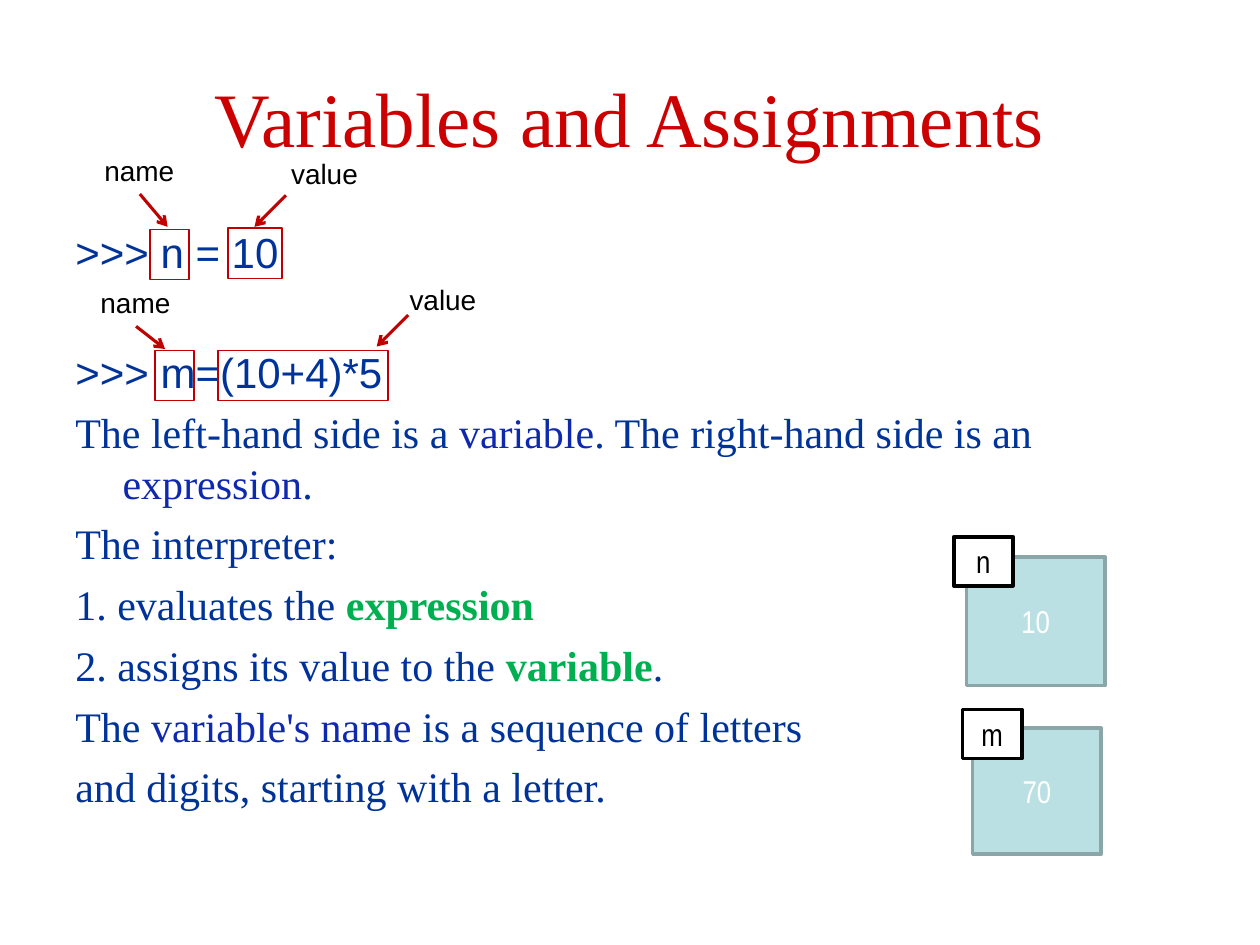
from dataclasses import dataclass

from lxml import etree
from pptx import Presentation
from pptx.dml.color import RGBColor
from pptx.enum.shapes import MSO_CONNECTOR, MSO_SHAPE
from pptx.enum.text import MSO_ANCHOR, PP_ALIGN
from pptx.oxml.ns import qn
from pptx.util import Inches, Pt

RECTANGLE = MSO_SHAPE.RECTANGLE
STRAIGHT = MSO_CONNECTOR.STRAIGHT
MIDDLE, TOP = MSO_ANCHOR.MIDDLE, MSO_ANCHOR.TOP
CENTER, LEFT = PP_ALIGN.CENTER, PP_ALIGN.LEFT

WIDTH, HEIGHT = Inches(10), Inches(7.5)
COLUMNS, ROWS = 100, 75


@dataclass(frozen=True)
class Theme:
    title: str = "CC0000"
    body: str = "003399"
    term: str = "0E29AE"
    key: str = "00B050"
    mark: str = "C00000"
    memory: str = "BBE0E3"
    memory_edge: str = "8AA6A8"
    black: str = "000000"
    white: str = "FFFFFF"
    serif: str = "Times New Roman"
    sans: str = "Arial"
    narrow: str = "Arial Narrow"
    title_size: float = 44
    body_size: float = 24
    cell_size: float = 18
    label_size: float = 16
    gap: float = 5.9
    code_gap: float = 39.4
    indent: float = 3.75


THEME = Theme()


def across(columns):
    return round(WIDTH * columns / COLUMNS)


def down(rows):
    return round(HEIGHT * rows / ROWS)


def place(left, top, width, height):
    return across(left), down(top), across(width), down(height)


def add_span(para, text, font, size, color, bold=False):
    span = para.add_run()
    span.text = text
    span.font.name = font
    span.font.size = Pt(size)
    span.font.bold = bold
    span.font.color.rgb = RGBColor.from_string(color)


def add_text_box(page, area, anchor=TOP):
    frame = page.shapes.add_textbox(*place(*area)).text_frame
    frame.word_wrap = True
    frame.vertical_anchor = anchor
    return frame


def add_line_of_text(page, area, text, font, size, color, anchor=TOP):
    para = add_text_box(page, area, anchor).paragraphs[0]
    para.alignment = CENTER
    add_span(para, text, font, size, color)


def add_box(page, area, edge, weight, fill=None):
    box = page.shapes.add_shape(RECTANGLE, *place(*area))
    box.shadow.inherit = False
    if fill:
        box.fill.solid()
        box.fill.fore_color.rgb = RGBColor.from_string(fill)
    else:
        box.fill.background()
    box.line.color.rgb = RGBColor.from_string(edge)
    box.line.width = Pt(weight)
    return box


def add_cell(page, area, text, color, edge, fill):
    frame = add_box(page, area, edge, 2, fill).text_frame
    frame.vertical_anchor = MIDDLE
    para = frame.paragraphs[0]
    para.alignment = CENTER
    add_span(para, text, THEME.narrow, THEME.cell_size, color)


def add_arrow(page, start, end):
    arrow = page.shapes.add_connector(
        STRAIGHT, across(start[0]), down(start[1]), across(end[0]), down(end[1]))
    arrow.line.color.rgb = RGBColor.from_string(THEME.mark)
    arrow.line.width = Pt(1.75)
    etree.SubElement(arrow.line._get_or_add_ln(), qn("a:tailEnd"), type="arrow")
    etree.SubElement(arrow._element.spPr, qn("a:effectLst"))


def add_callout(page, text, label_area, start, end, target):
    add_arrow(page, start, end)
    add_line_of_text(page, label_area, text, THEME.sans, THEME.label_size, THEME.black)
    add_box(page, target, THEME.mark, 0.75)


def add_variable(page, name, name_corner, value, value_area):
    add_cell(page, value_area, value, THEME.white, THEME.memory_edge, THEME.memory)
    add_cell(page, (*name_corner, 4.7, 3.9), name, THEME.black, THEME.black, THEME.white)


def add_body(page, area, lines):
    frame = add_text_box(page, area)
    for index, (font, gap, hanging, spans) in enumerate(lines):
        para = frame.add_paragraph() if index else frame.paragraphs[0]
        para.alignment = LEFT
        para.space_before = Pt(gap)
        if hanging:
            properties = para._p.get_or_add_pPr()
            properties.set("marL", str(across(THEME.indent)))
            properties.set("indent", str(-across(THEME.indent)))
        for text, color in spans:
            add_span(para, text, font, THEME.body_size, color, color == THEME.key)


def body_lines():
    plain, term, key = THEME.body, THEME.term, THEME.key
    serif, sans, gap = THEME.serif, THEME.sans, THEME.gap
    return [
        (sans, gap, True, [(">>> n = 10", plain)]),
        (sans, THEME.code_gap, True, [(">>> m=(10+4)*5", plain)]),
        (serif, gap, True, [
            ("The left-hand side is a ", plain), ("variable", term),
            (". The right-hand side is an ", plain), ("expression", term), (".", plain)]),
        (serif, gap, True, [("The interpreter:", plain)]),
        (serif, gap, False, [("1. evaluates the ", plain), ("expression", key)]),
        (serif, gap, False, [
            ("2. assigns its value to the ", plain), ("variable", key), (".", plain)]),
        (serif, gap, True, [
            ("The ", plain), ("variable's name ", term),
            ("is a sequence of letters", plain)]),
        (serif, gap, True, [("and digits, starting with a letter.", plain)]),
    ]


def main():
    deck = Presentation()
    deck.slide_width, deck.slide_height = WIDTH, HEIGHT
    page = deck.slides.add_slide(deck.slide_layouts[6])

    add_line_of_text(page, (5, 3, 90, 12.5), "Variables and Assignments",
                     THEME.serif, THEME.title_size, THEME.title, MIDDLE)
    add_body(page, (5, 17.5, 90, 49.5), body_lines())

    add_variable(page, "n", (75.7, 42.6), "10", (76.7, 44.2, 11, 10.2))
    add_variable(page, "m", (76.4, 56.3), "70", (77.2, 57.8, 10.2, 10))

    callouts = [
        ("name", (6.9, 11.7, 8.3, 3.7), (11.1, 15.4), (13.3, 18), (11.9, 18.2, 3.1, 4)),
        ("value", (22, 11.9, 7.5, 3.7), (22.7, 15.5), (20.2, 18), (18.1, 18.1, 4.3, 4)),
        ("name", (6.6, 22.2, 8.3, 3.7), (10.8, 25.9), (13.1, 27.7), (12.3, 27.8, 3.1, 4)),
        ("value", (31.4, 21.9, 7.5, 3.7), (32.4, 25), (29.9, 27.5), (17.3, 27.8, 13.5, 4)),
    ]
    for callout in callouts:
        add_callout(page, *callout)

    deck.save("out.pptx")


if __name__ == "__main__":
    main()
